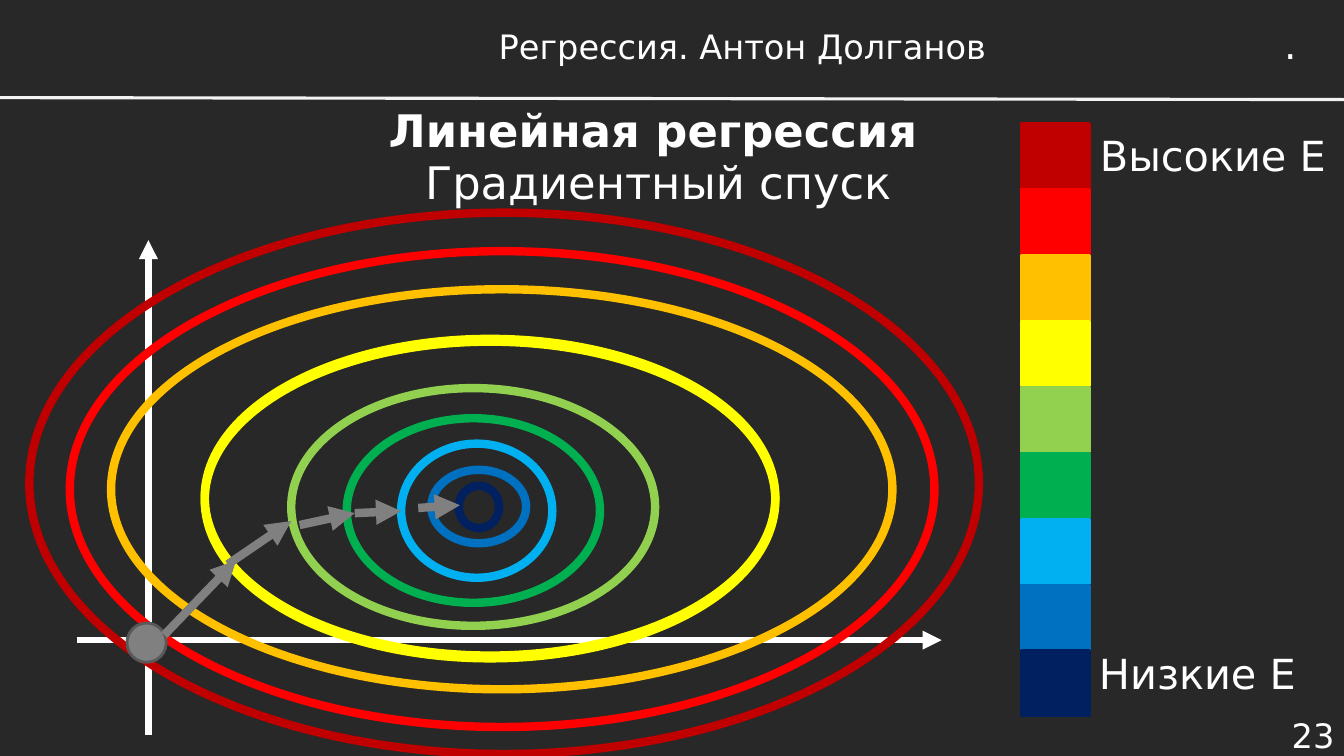
from pptx import Presentation
from pptx.dml.color import RGBColor
from pptx.enum.shapes import MSO_CONNECTOR, MSO_SHAPE
from pptx.enum.text import MSO_ANCHOR, PP_ALIGN
from pptx.oxml.ns import qn
from pptx.util import Cm, Pt
from lxml.etree import SubElement

FONT = "DejaVu Sans"
BACKGROUND = RGBColor(0x27, 0x28, 0x27)
WHITE = RGBColor(0xFF, 0xFF, 0xFF)
RULE = RGBColor(0xF2, 0xF2, 0xF2)
GRAY = RGBColor(0x80, 0x80, 0x80)
DARK_GRAY = RGBColor(0x59, 0x59, 0x59)
DARK_RED = RGBColor(0xC0, 0x00, 0x00)
RED = RGBColor(0xFF, 0x00, 0x00)
ORANGE = RGBColor(0xFF, 0xC0, 0x00)
YELLOW = RGBColor(0xFF, 0xFF, 0x00)
LIGHT_GREEN = RGBColor(0x92, 0xD0, 0x50)
GREEN = RGBColor(0x00, 0xB0, 0x50)
LIGHT_BLUE = RGBColor(0x00, 0xB0, 0xF0)
BLUE = RGBColor(0x00, 0x70, 0xC0)
NAVY = RGBColor(0x00, 0x20, 0x60)

# High to low error
SCALE_COLORS = [DARK_RED, RED, ORANGE, YELLOW, LIGHT_GREEN,
                GREEN, LIGHT_BLUE, BLUE, NAVY]

# Level lines, back to front: left, top, width, height within the plot
CONTOURS = [
    (DARK_RED, 0, 0, 23.93, 13.64),
    (ORANGE, 2.06, 1.93, 19.69, 10.08),
    (RED, 1.02, 0.97, 21.79, 11.99),
    (YELLOW, 4.42, 3.18, 14.38, 7.98),
    (LIGHT_GREEN, 6.6, 4.42, 9.17, 5.99),
    (GREEN, 8, 5.18, 6.38, 4.65),
    (YELLOW, 4.42, 3.25, 14.38, 7.98),
    (LIGHT_BLUE, 9.37, 5.82, 3.81, 3.38),
    (BLUE, 10.13, 6.48, 2.39, 1.85),
    (NAVY, 10.82, 6.88, 1.02, 1.07),
]

# Descent steps: start and end within the plot
STEPS = [
    (3.4, 10.64, 5.21, 8.76),
    (5, 8.86, 6.6, 7.77),
    (6.81, 7.87, 8.2, 7.57),
    (8.2, 7.57, 9.37, 7.52),
    (9.8, 7.44, 10.85, 7.37),
]


def add_text(page, text, left, top, width, height, size,
             align=PP_ALIGN.CENTER, bold=False):
    box = page.shapes.add_textbox(Cm(left), Cm(top), Cm(width), Cm(height))
    frame = box.text_frame
    frame.word_wrap = True
    frame.margin_left = frame.margin_right = 0
    frame.vertical_anchor = MSO_ANCHOR.MIDDLE
    frame.text = text
    para = frame.paragraphs[0]
    para.alignment = align
    span = para.runs[0]
    span.font.name = FONT
    span.font.size = Pt(size)
    span.font.bold = bold
    span.font.color.rgb = WHITE


def add_figure(page, kind, left, top, width, height, fill, line, weight):
    figure = page.shapes.add_shape(kind, Cm(left), Cm(top), Cm(width), Cm(height))
    figure.shadow.inherit = False
    if fill is None:
        figure.fill.background()
    else:
        figure.fill.solid()
        figure.fill.fore_color.rgb = fill
    figure.line.color.rgb = line
    figure.line.width = Pt(weight)


def add_line(page, x1, y1, x2, y2, color, weight, arrow=True):
    line = page.shapes.add_connector(
        MSO_CONNECTOR.STRAIGHT, Cm(x1), Cm(y1), Cm(x2), Cm(y2))
    line.line.color.rgb = color
    line.line.width = Pt(weight)
    if arrow:
        SubElement(line.line._get_or_add_ln(), qn("a:tailEnd"), type="triangle")
    SubElement(line._element.spPr, qn("a:effectLst"))


def add_header(page, left, top, width):
    add_text(page, "Регрессия. Антон Долганов",
             left + 8.74, top + 0.48, 19.94, 1.35, 24)
    add_line(page, left, top + 2.46, left + width, top + 2.51, RULE, 2.25, arrow=False)
    add_text(page, ".", left + 32.36, top + 0.38, 0.6, 1.45, 28, PP_ALIGN.LEFT)


def add_title(page, left, top):
    add_text(page, "Линейная регрессия", left, top, 22, 2.31, 32, bold=True)
    add_text(page, "Градиентный спуск", left + 1.98, top + 1.32, 18.31, 2.31, 32)


def add_plot(page, left, top):
    # Axes
    add_line(page, left + 3, top + 13.16, left + 3, top + 0.69, WHITE, 4.5)
    add_line(page, left + 1.19, top + 10.77, left + 22.99, top + 10.77, WHITE, 4.5)
    # Level lines
    for color, x, y, width, height in CONTOURS:
        add_figure(page, MSO_SHAPE.OVAL, left + x, top + y, width, height,
                   None, color, 6)
    # Starting point and descent
    add_figure(page, MSO_SHAPE.OVAL, left + 2.46, top + 10.34, 0.99, 0.99,
               GRAY, DARK_GRAY, 2)
    for x1, y1, x2, y2 in STEPS:
        add_line(page, left + x1, top + y1, left + x2, top + y2, GRAY, 6)


def add_scale(page, left, top, width, height):
    pitch = height / len(SCALE_COLORS)
    for index, color in enumerate(SCALE_COLORS):
        add_figure(page, MSO_SHAPE.RECTANGLE, left, top + index * pitch,
                   width, pitch - 0.03, color, color, 2)
    add_text(page, "Высокие E", left + 1.68, top - 0.36, 6.32, 2.31, 29.6)
    add_text(page, "Низкие E", left + 1.68, top + 12.67, 5.54, 2.31, 29.6)


def main():
    deck = Presentation()
    deck.slide_width, deck.slide_height = Cm(33.87), Cm(19.05)
    page = deck.slides.add_slide(deck.slide_layouts[6])
    page.background.fill.solid()
    page.background.fill.fore_color.rgb = BACKGROUND
    add_header(page, 0, 0, 33.87)
    add_title(page, 5.46, 2.11)
    add_plot(page, 0.74, 5.36)
    add_scale(page, 25.73, 3.12, 1.73, 14.94)
    # Page number
    add_text(page, "23", 31.22, 17.98, 2.41, 1.07, 24, PP_ALIGN.RIGHT)
    deck.save("out.pptx")


if __name__ == "__main__":
    main()
